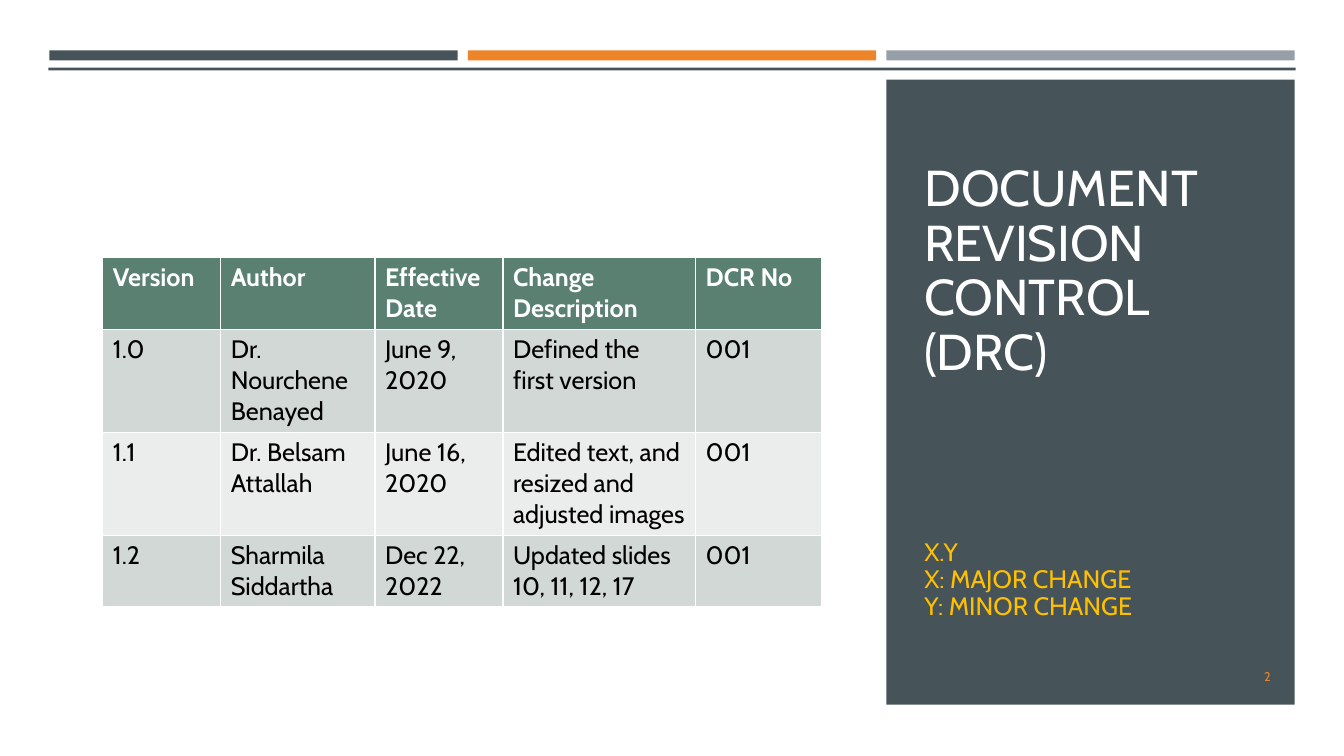
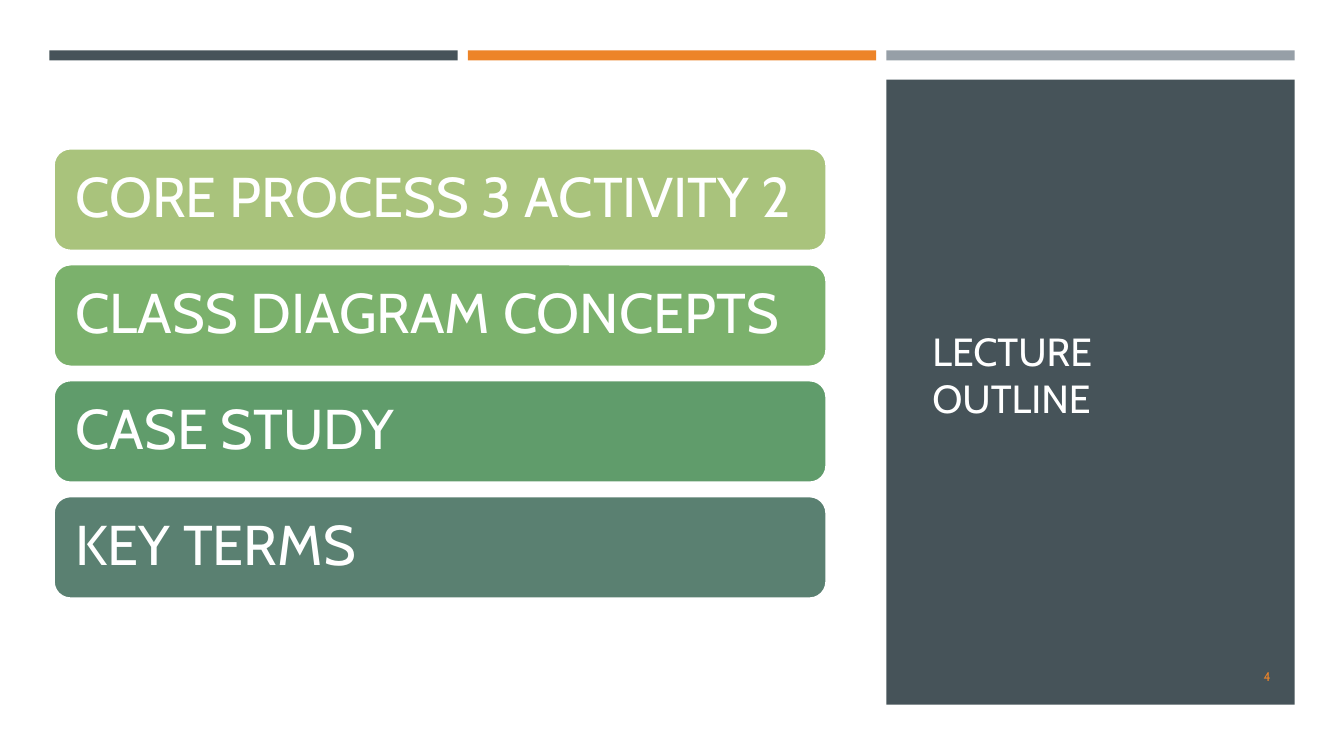
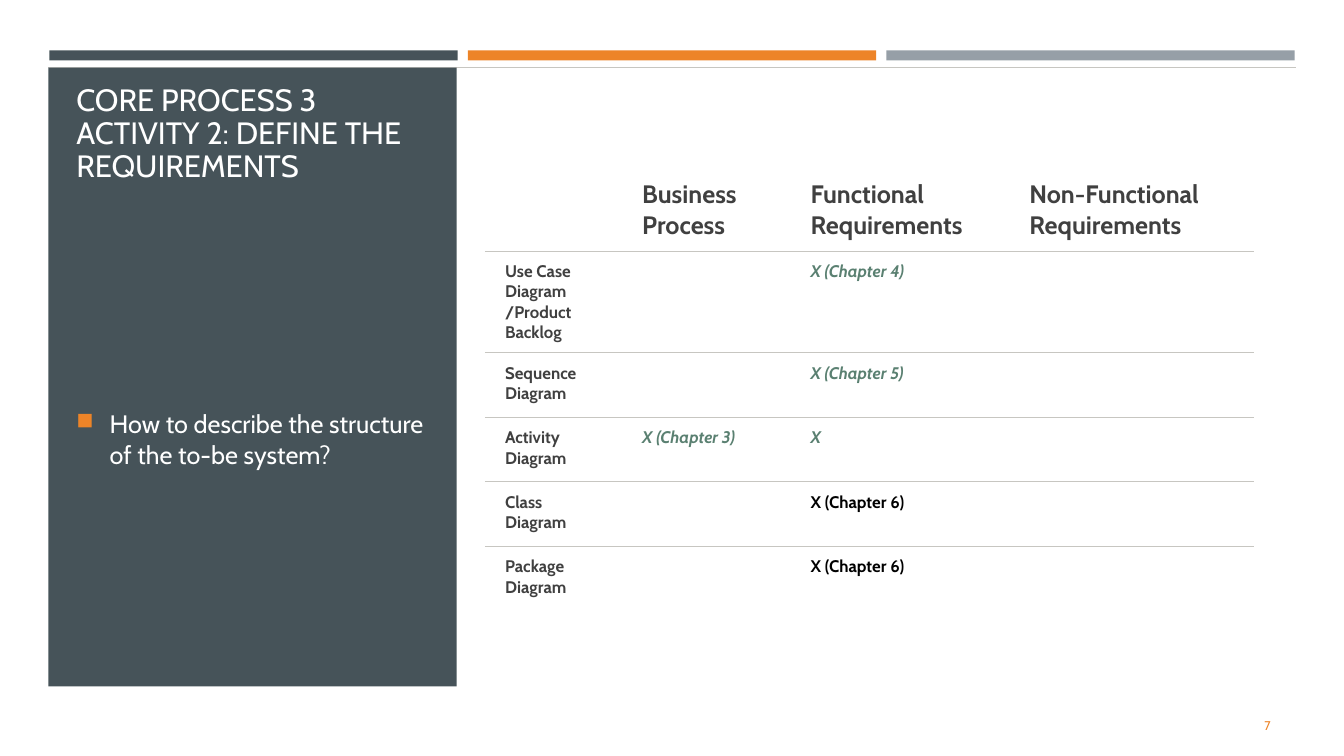
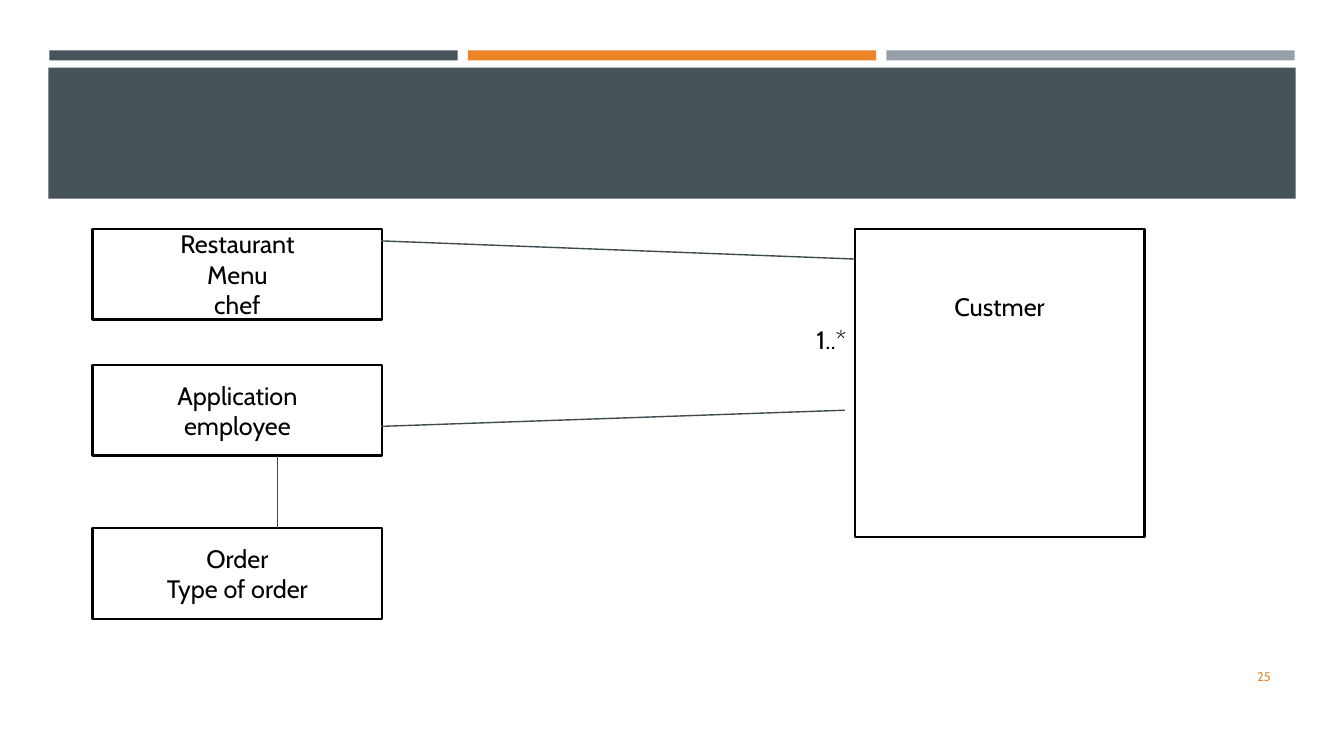
from lxml.etree import SubElement
from pptx import Presentation
from pptx.dml.color import RGBColor
from pptx.enum.shapes import MSO_CONNECTOR, MSO_SHAPE
from pptx.enum.text import MSO_ANCHOR as ANCHOR, PP_ALIGN as ALIGN
from pptx.oxml import parse_xml
from pptx.oxml.ns import nsdecls, qn
from pptx.util import Inches, Pt

FONT = "Cabin"
SLATE = RGBColor(0x46, 0x53, 0x59)
ORANGE = RGBColor(0xED, 0x84, 0x28)
GREY = RGBColor(0x96, 0x9F, 0xA7)
WHITE = RGBColor(0xFF, 0xFF, 0xFF)
BLACK = RGBColor(0x00, 0x00, 0x00)
GOLD = RGBColor(0xFF, 0xC0, 0x00)
CHARCOAL = RGBColor(0x40, 0x40, 0x40)
LINK = RGBColor(0x3F, 0x4B, 0x50)
RULE = RGBColor(0xC7, 0xC6, 0xC1)
TEAL = RGBColor(0x5A, 0x80, 0x71)
GREENS = [RGBColor(0xA9, 0xC3, 0x7C), RGBColor(0x7B, 0xB1, 0x6C),
          RGBColor(0x60, 0x9C, 0x6B), TEAL]
BANDS = [RGBColor(0xD2, 0xD8, 0xD5), RGBColor(0xEA, 0xED, 0xEB)]

BAR_LEFT, BAR_STEP, BAR_WIDTH = 0.49, 4.15, 4.05
SIDE_LEFT = BAR_LEFT + 2 * BAR_STEP
BAND_LEFT, BAND_TOP, BAND_WIDTH = 0.48, 0.67, 12.37


def write(tf, text, size=18, color=BLACK, bold=False, italic=False,
          align=ALIGN.LEFT, anchor=ANCHOR.TOP, spacing=None, bullet=None):
    """Fill a text frame, one paragraph for each line of text."""
    tf.word_wrap = True
    tf.vertical_anchor = anchor
    for i, line in enumerate(text.split("\n")):
        p = tf.add_paragraph() if i else tf.paragraphs[0]
        p.alignment = align
        if spacing:
            p.line_spacing = spacing
        if bullet:
            add_bullet(p, bullet)
        r = p.add_run()
        r.text = line
        font = r.font
        font.name, font.size = FONT, Pt(size)
        font.bold, font.italic = bold, italic
        font.color.rgb = color


def add_bullet(p, color, indent=0.33):
    pPr = p._p.get_or_add_pPr()
    pPr.set("marL", str(Inches(indent)))
    pPr.set("indent", str(-Inches(indent)))
    clr = SubElement(pPr, qn("a:buClr"))
    SubElement(clr, qn("a:srgbClr"), val=str(color))
    SubElement(pPr, qn("a:buSzPct"), val="92000")
    SubElement(pPr, qn("a:buChar"), char="■")


def rule_cell(cell, sides, color, width=0.75):
    """Draw the given sides (T, B) of a cell and clear the others."""
    tcPr = cell._tc.get_or_add_tcPr()
    for i, side in enumerate("LRTB"):
        paint = (f'<a:solidFill><a:srgbClr val="{color}"/></a:solidFill>'
                 if side in sides else "<a:noFill/>")
        tcPr.insert(i, parse_xml(
            f'<a:ln{side} {nsdecls("a")} w="{Pt(width)}">{paint}</a:ln{side}>'))


class Deck:
    def __init__(self):
        self.prs = Presentation()
        self.prs.slide_width, self.prs.slide_height = Inches(13.33), Inches(7.5)
        self.s = None

    def slide(self, number, number_top=6.51):
        self.s = self.prs.slides.add_slide(self.prs.slide_layouts[6])
        for i, color in enumerate((SLATE, ORANGE, GREY)):
            self.box(BAR_LEFT + i * BAR_STEP, 0.5, BAR_WIDTH, 0.1, color)
        return number, number_top

    def number(self, number, top):
        self.text(str(number), 11.55, top, 1.15, 0.4, size=9, color=ORANGE,
                  align=ALIGN.RIGHT, anchor=ANCHOR.MIDDLE)

    def box(self, x, y, w, h, fill, line=None, line_width=1.75,
            kind=MSO_SHAPE.RECTANGLE):
        sp = self.s.shapes.add_shape(kind, Inches(x), Inches(y), Inches(w), Inches(h))
        sp.shadow.inherit = False
        sp.fill.solid()
        sp.fill.fore_color.rgb = fill
        if line is None:
            sp.line.fill.background()
        else:
            sp.line.color.rgb = line
            sp.line.width = Pt(line_width)
        return sp

    def text(self, text, x, y, w, h, **fmt):
        sp = self.s.shapes.add_textbox(Inches(x), Inches(y), Inches(w), Inches(h))
        write(sp.text_frame, text, **fmt)

    def line(self, x1, y1, x2, y2, color=LINK, width=1):
        cx = self.s.shapes.add_connector(
            MSO_CONNECTOR.STRAIGHT, Inches(x1), Inches(y1), Inches(x2), Inches(y2))
        cx.line.color.rgb = color
        cx.line.width = Pt(width)
        SubElement(cx._element.spPr, qn("a:effectLst"))

    def side_panel(self):
        self.box(SIDE_LEFT, 0.79, BAR_WIDTH, 6.2, SLATE)

    def entity(self, text, x, y, h, top=None):
        """Class box; a top inset puts its text at the top, not the middle."""
        sp = self.box(x, y, 2.87, h, WHITE, BLACK)
        if top:
            sp.text_frame.margin_top = Inches(top)
        write(sp.text_frame, text, align=ALIGN.CENTER,
              anchor=ANCHOR.TOP if top else ANCHOR.MIDDLE)

    def table(self, x, y, widths, heights, rows, style_cell):
        """Add a table; style_cell(cell, row, col, text) formats each cell."""
        frame = self.s.shapes.add_table(
            len(rows), len(widths), Inches(x), Inches(y),
            Inches(sum(widths)), Inches(sum(heights)))
        table = frame.table
        for col, w in zip(table.columns, widths):
            col.width = Inches(w)
        for row, h in zip(table.rows, heights):
            row.height = Inches(h)
        for i, row in enumerate(rows):
            for j, text in enumerate(row):
                style_cell(table.cell(i, j), i, j, text)


def revision_cell(cell, row, col, text):
    head = row == 0
    cell.fill.solid()
    cell.fill.fore_color.rgb = TEAL if head else BANDS[(row - 1) % 2]
    write(cell.text_frame, text, color=WHITE if head else BLACK, bold=head)


def diagram_cell(cell, row, col, text):
    cell.fill.background()
    cell.margin_left, cell.margin_right = Inches(0.2), Inches(0.15)
    cell.margin_top = cell.margin_bottom = Inches(0.1)
    sides = ("T" if row > 0 else "") + ("B" if row < 5 else "")
    rule_cell(cell, sides, RULE)
    if not text:
        return
    earlier = col > 0 and 0 < row < 4
    if row == 0 or col == 0:
        color = CHARCOAL
    else:
        color = TEAL if earlier else BLACK
    write(cell.text_frame, text, size=12 if row else 18, color=color,
          bold=True, italic=earlier)


def revision_slide(d):
    footer = d.slide(2)
    d.box(BAND_LEFT, BAND_TOP, BAND_WIDTH, 0.03, SLATE)
    d.side_panel()
    d.text("DOCUMENT REVISION CONTROL (DRC)", 9.07, 1.55, 3.37, 2.28, size=36,
           color=WHITE, anchor=ANCHOR.BOTTOM, spacing=0.9)
    d.table(1.02, 2.55, [1.17, 1.53, 1.27, 1.91, 1.25], [0.72, 1.02, 1.02, 0.71], [
        ["Version", "Author", "Effective Date", "Change Description", "DCR No"],
        ["1.0", "Dr. Nourchene Benayed", "June 9, 2020",
         "Defined the first version", "001"],
        ["1.1", "Dr. Belsam Attallah", "June 16, 2020",
         "Edited text, and resized and adjusted images", "001"],
        ["1.2", "Sharmila Siddartha", "Dec 22, 2022",
         "Updated slides 10, 11, 12, 17", "001"],
    ], revision_cell)
    d.text("X.Y\nX: MAJOR CHANGE\nY: MINOR CHANGE", 9.07, 5.09, 3.37, 1.12,
           color=GOLD, anchor=ANCHOR.BOTTOM, spacing=0.9)
    d.number(*footer)


def outline_slide(d):
    footer = d.slide(4)
    d.side_panel()
    d.text("LECTURE OUTLINE", 9.15, 1.14, 3.34, 5.15, size=28, color=WHITE,
           anchor=ANCHOR.MIDDLE)
    topics = ["CORE PROCESS 3 ACTIVITY 2", "CLASS DIAGRAM CONCEPTS",
              "CASE STUDY", "KEY TERMS"]
    for i, (topic, color) in enumerate(zip(topics, GREENS)):
        sp = d.box(0.53, 1.47 + i * 1.15, 7.67, 1.02, color, WHITE, 2,
                   MSO_SHAPE.ROUNDED_RECTANGLE)
        tf = sp.text_frame
        tf.margin_left = tf.margin_right = Inches(0.17)
        write(tf, topic, size=40, color=WHITE, anchor=ANCHOR.MIDDLE, spacing=0.9)
    d.number(*footer)


def requirements_slide(d):
    footer = d.slide(7, number_top=7)
    d.line(BAND_LEFT, BAND_TOP, BAND_LEFT + BAND_WIDTH, BAND_TOP, RULE, 0.5)
    d.box(BAND_LEFT, BAND_TOP, BAR_WIDTH, 6.14, SLATE)
    d.text("CORE PROCESS 3 ACTIVITY 2: DEFINE THE REQUIREMENTS", 0.66, 0.77, 3.73,
           1.11, size=22, color=WHITE, anchor=ANCHOR.BOTTOM, spacing=0.9)
    d.text("How to describe the structure of the to-be system?", 0.66, 2.15, 3.73,
           4.41, color=WHITE, anchor=ANCHOR.MIDDLE, bullet=ORANGE)
    d.number(*footer)
    d.table(4.81, 1.68, [1.36, 1.67, 2.17, 2.43], [0.81, 1.01] + [0.64] * 4, [
        ["", "Business Process", "Functional Requirements",
         "Non-Functional Requirements"],
        ["Use Case Diagram /Product Backlog", "", "X (Chapter 4)", ""],
        ["Sequence Diagram", "", "X (Chapter 5)", ""],
        ["Activity Diagram", "X (Chapter 3)", "X", ""],
        ["Class Diagram", "", "X (Chapter 6)", ""],
        ["Package Diagram", "", "X (Chapter 6)", ""],
    ], diagram_cell)


def class_diagram_slide(d):
    footer = d.slide(25)
    d.box(BAND_LEFT, BAND_TOP, BAND_WIDTH, 1.3, SLATE)
    d.number(*footer)
    for text, y in (("Restaurant\nMenu\nchef", 2.27),
                    ("Application\nemployee", 3.62),
                    ("Order\nType of order", 5.24)):
        d.entity(text, 0.92, y, 0.9)
    d.entity("Custmer", 8.48, 2.27, 3.06, top=0.62)
    d.text("1..*", 8, 3.17, 0.76, 0.4)
    d.line(3.78, 2.39, 8.48, 2.57)
    d.line(3.78, 4.23, 8.38, 4.07)
    d.line(2.75, 5.24, 2.75, 4.52)


def main():
    d = Deck()
    revision_slide(d)
    outline_slide(d)
    requirements_slide(d)
    class_diagram_slide(d)
    d.prs.save("out.pptx")


if __name__ == "__main__":
    main()
